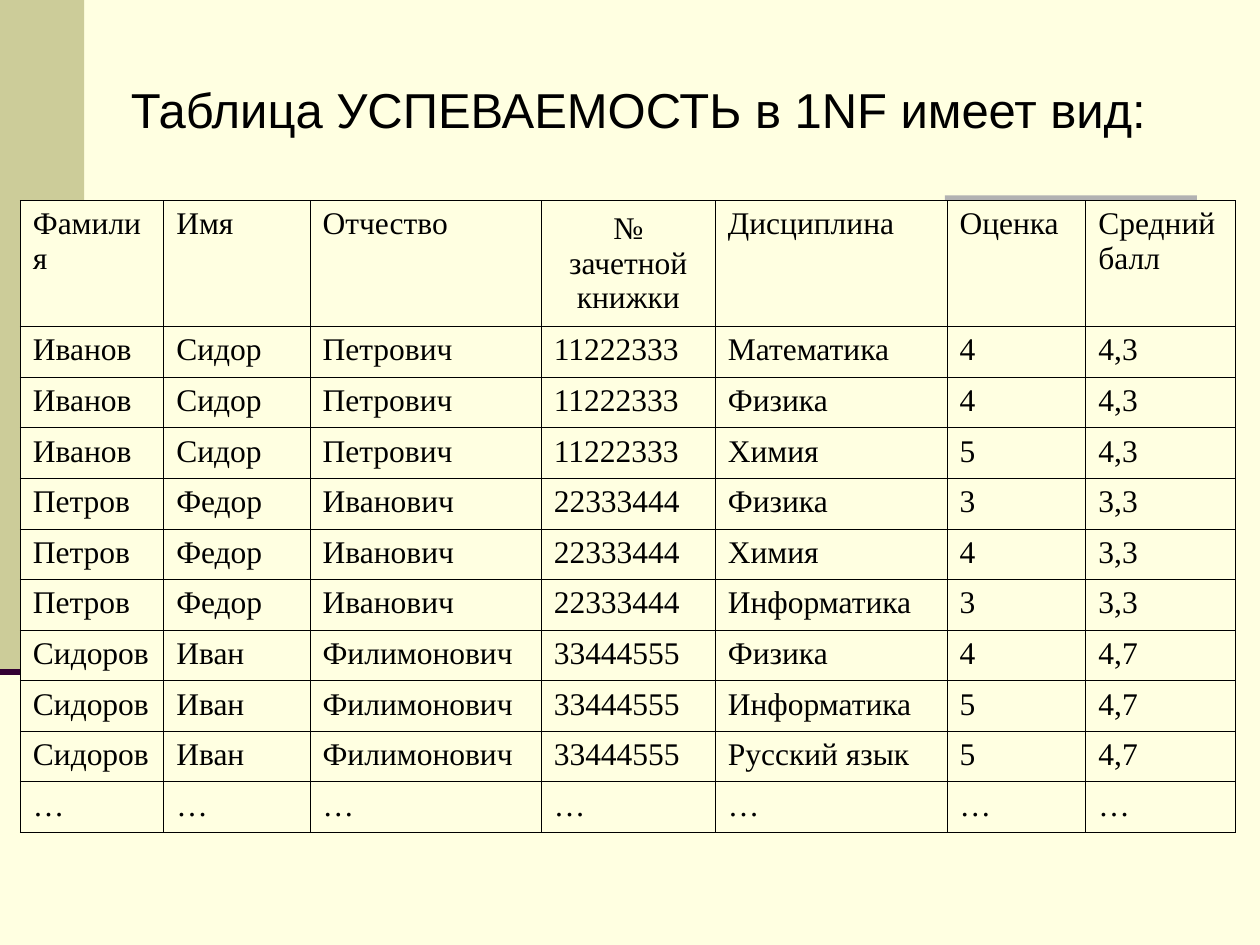
from dataclasses import dataclass

from lxml import etree
from pptx import Presentation
from pptx.dml.color import RGBColor
from pptx.enum.shapes import MSO_CONNECTOR, MSO_SHAPE
from pptx.enum.text import MSO_ANCHOR, PP_ALIGN
from pptx.oxml.ns import qn
from pptx.slide import Slide
from pptx.table import _Cell
from pptx.text.text import TextFrame
from pptx.util import Cm, Pt

RECT = MSO_SHAPE.RECTANGLE
LINE = MSO_CONNECTOR.STRAIGHT
MIDDLE = MSO_ANCHOR.MIDDLE
TOP = MSO_ANCHOR.TOP
LEFT = PP_ALIGN.LEFT
CENTER = PP_ALIGN.CENTER
JUSTIFY = PP_ALIGN.JUSTIFY


@dataclass(frozen=True)
class Theme:
    paper: str = "FFFFE1"
    olive: str = "CCCC99"
    gray: str = "B2B2B2"
    plum: str = "330033"
    ink: str = "000000"
    head_font: str = "Arial"
    body_font: str = "Times New Roman"
    head_size: float = 28
    body_size: float = 18
    rule: float = 3.5
    border: float = 0.45


@dataclass(frozen=True)
class Block:
    left: float
    top: float
    width: float
    height: float
    color: str


@dataclass(frozen=True)
class Column:
    label: str
    width: float
    align: PP_ALIGN = JUSTIFY
    anchor: MSO_ANCHOR = TOP


@dataclass(frozen=True)
class Student:
    names: tuple[str, str, str]
    book: str
    marks: tuple[tuple[str, str], ...]
    mean: str

    def rows(self) -> list[list[str]]:
        return [[*self.names, self.book, topic, mark, self.mean]
                for topic, mark in self.marks]


THEME = Theme()
TITLE = "Таблица УСПЕВАЕМОСТЬ в 1NF имеет вид:"
BLOCKS = (
    Block(0, 0, 1.7, 13.54, THEME.olive),
    Block(19.05, 3.94, 5.08, 0.5, THEME.gray),
)
COLUMNS = (
    Column("Фамилия", 2.89),
    Column("Имя", 2.95),
    Column("Отчество", 4.66),
    Column("№ зачетной книжки", 3.51, CENTER, MIDDLE),
    Column("Дисциплина", 4.67),
    Column("Оценка", 2.8),
    Column("Средний балл", 3.02),
)
STUDENTS = (
    Student(("Иванов", "Сидор", "Петрович"), "11222333",
            (("Математика", "4"), ("Физика", "4"), ("Химия", "5")), "4,3"),
    Student(("Петров", "Федор", "Иванович"), "22333444",
            (("Физика", "3"), ("Химия", "4"), ("Информатика", "3")), "3,3"),
    Student(("Сидоров", "Иван", "Филимонович"), "33444555",
            (("Физика", "4"), ("Информатика", "5"), ("Русский язык", "5")), "4,7"),
)
HEAD_ROW = 2.54
BODY_ROW = 1.02


def color(code: str) -> RGBColor:
    return RGBColor.from_string(code)


def write(frame: TextFrame, text: str, font: str, size: float, align: PP_ALIGN) -> None:
    frame.text = text
    para = frame.paragraphs[0]
    para.alignment = align
    for run in para.runs:
        run.font.name = font
        run.font.size = Pt(size)
        run.font.color.rgb = color(THEME.ink)


def draw_block(slide: Slide, block: Block) -> None:
    shape = slide.shapes.add_shape(
        RECT, Cm(block.left), Cm(block.top), Cm(block.width), Cm(block.height))
    shape.shadow.inherit = False
    shape.fill.solid()
    shape.fill.fore_color.rgb = color(block.color)
    shape.line.fill.background()


def draw_rule(slide: Slide, left: float, right: float, top: float) -> None:
    rule = slide.shapes.add_connector(LINE, Cm(left), Cm(top), Cm(right), Cm(top))
    rule.line.color.rgb = color(THEME.plum)
    rule.line.width = Pt(THEME.rule)
    etree.SubElement(rule._element.spPr, qn("a:effectLst"))


def draw_title(slide: Slide) -> None:
    box = slide.shapes.add_textbox(Cm(2.39), Cm(1.47), Cm(21.16), Cm(1.45))
    frame = box.text_frame
    frame.word_wrap = True
    frame.vertical_anchor = MIDDLE
    write(frame, TITLE, THEME.head_font, THEME.head_size, LEFT)


def add_border(cell: _Cell) -> None:
    props = cell._tc.get_or_add_tcPr()
    for spot, side in enumerate(("lnL", "lnR", "lnT", "lnB")):
        edge = etree.Element(qn(f"a:{side}"), w=str(Pt(THEME.border)))
        fill = etree.SubElement(edge, qn("a:solidFill"))
        etree.SubElement(fill, qn("a:srgbClr"), val=THEME.ink)
        props.insert(spot, edge)


def fill_cell(cell: _Cell, text: str, align: PP_ALIGN, anchor: MSO_ANCHOR) -> None:
    write(cell.text_frame, text, THEME.body_font, THEME.body_size, align)
    cell.vertical_anchor = anchor
    cell.fill.solid()
    cell.fill.fore_color.rgb = color(THEME.paper)
    add_border(cell)


def draw_table(slide: Slide) -> None:
    body = [row for student in STUDENTS for row in student.rows()]
    body.append(["…"] * len(COLUMNS))
    width = sum(column.width for column in COLUMNS)
    height = HEAD_ROW + BODY_ROW * len(body)
    table = slide.shapes.add_table(
        len(body) + 1, len(COLUMNS), Cm(0.41), Cm(4.04), Cm(width), Cm(height)).table
    table.first_row = False
    table.horz_banding = False
    for row in table.rows:
        row.height = Cm(BODY_ROW)
    table.rows[0].height = Cm(HEAD_ROW)
    for x, column in enumerate(COLUMNS):
        table.columns[x].width = Cm(column.width)
        fill_cell(table.cell(0, x), column.label, column.align, column.anchor)
        for y, row in enumerate(body, 1):
            fill_cell(table.cell(y, x), row[x], JUSTIFY, TOP)


def main() -> None:
    deck = Presentation()
    deck.slide_width = Cm(25.4)
    deck.slide_height = Cm(19.05)
    slide = deck.slides.add_slide(deck.slide_layouts[6])
    slide.background.fill.solid()
    slide.background.fill.fore_color.rgb = color(THEME.paper)
    for block in BLOCKS:
        draw_block(slide, block)
    draw_rule(slide, 0, 1.7, 13.54)
    draw_title(slide)
    draw_table(slide)
    deck.save("out.pptx")


if __name__ == "__main__":
    main()
